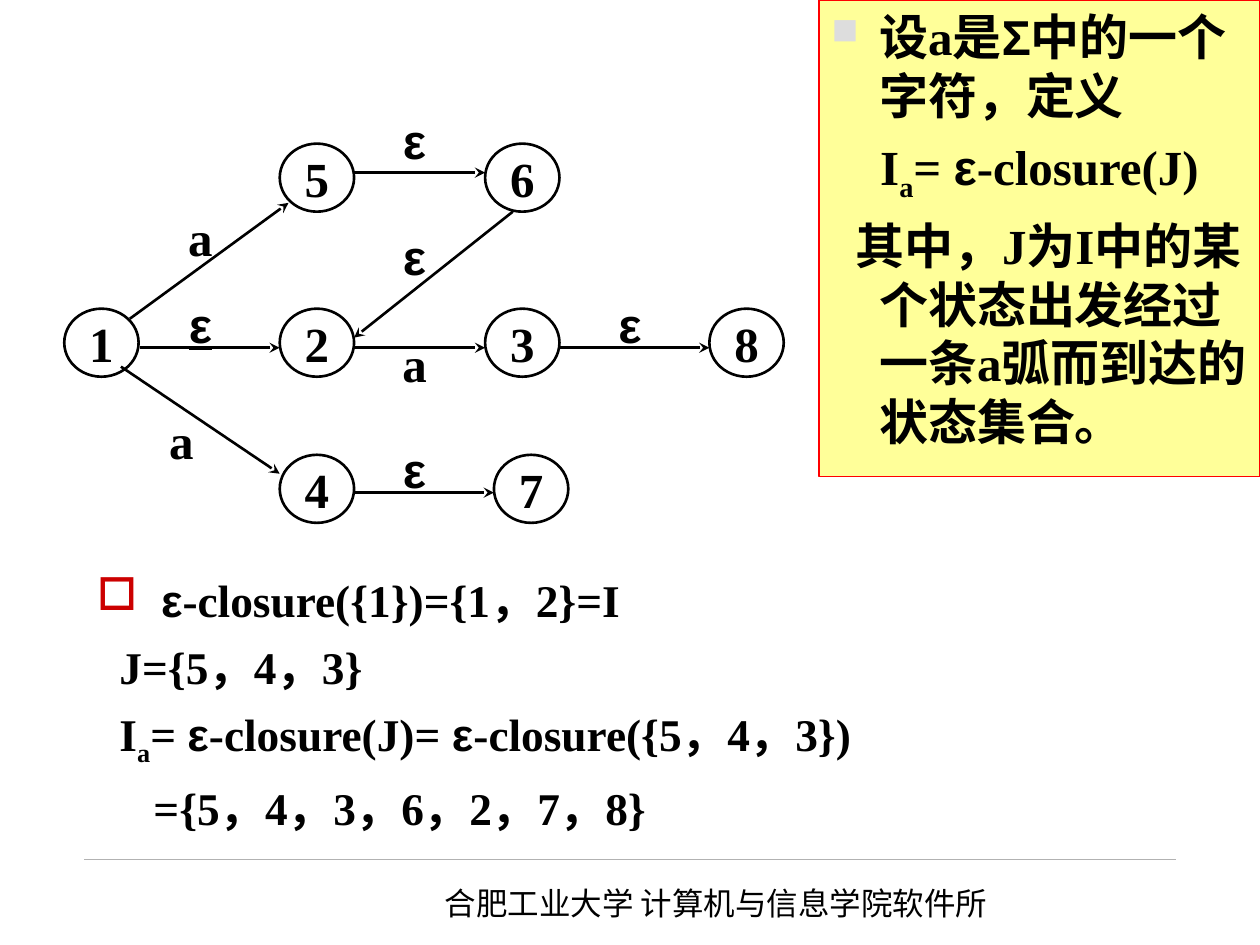
from dataclasses import dataclass
from typing import Optional

import pptx
import pptx.dml.color
import pptx.enum.shapes
import pptx.enum.text
import pptx.oxml.ns
import pptx.util
from lxml import etree
from pptx.util import Inches, Pt

SERIF, SANS = "Times New Roman", "Arial"
BLACK = "000000"
NODE_W, NODE_H = 0.59, 0.54
LABEL_W = 0.82
MIDDLE = pptx.enum.text.MSO_ANCHOR.MIDDLE
CENTER = pptx.enum.text.PP_ALIGN.CENTER


@dataclass
class State:
    name: str
    left: float
    top: float


@dataclass
class Arc:
    x1: float
    y1: float
    x2: float
    y2: float
    symbol: str
    label_left: float
    label_top: float
    underline: bool = False


@dataclass
class Run:
    text: str
    font: str = SERIF
    subscript: bool = False


@dataclass
class Line:
    runs: list[Run]
    margin: float
    indent: float
    bullet: Optional[tuple[str, str, int]] = None  # character, colour, percent
    centered: bool = False
    spacing: Optional[float] = None


def rgb(value: str) -> pptx.dml.color.RGBColor:
    return pptx.dml.color.RGBColor.from_string(value)


def add_child(parent, tag: str, **attributes: str):
    return etree.SubElement(parent, pptx.oxml.ns.qn(tag), attributes)


def style(font, size: float, name: str = SERIF, bold: bool = True) -> None:
    font.size, font.name, font.bold = Pt(size), name, bold
    font.color.rgb = rgb(BLACK)


def put_symbol(frame, text: str, font: str, underline: bool = False) -> None:
    frame.word_wrap = False
    frame.vertical_anchor = MIDDLE
    frame.text = text
    paragraph = frame.paragraphs[0]
    paragraph.alignment = CENTER
    run = paragraph.runs[0]
    style(run.font, 28, font)
    if underline:
        run.font.underline = True


def draw_line(slide, x1: float, y1: float, x2: float, y2: float,
              color: str, width: float, arrow: bool = False) -> None:
    connector = slide.shapes.add_connector(
        pptx.enum.shapes.MSO_CONNECTOR.STRAIGHT,
        Inches(x1), Inches(y1), Inches(x2), Inches(y2))
    connector.line.color.rgb = rgb(color)
    connector.line.width = Pt(width)
    if arrow:
        add_child(connector.line._get_or_add_ln(), "a:tailEnd", type="stealth")
    add_child(connector._element.spPr, "a:effectLst")


def draw_state(slide, state: State) -> None:
    circle = slide.shapes.add_shape(
        pptx.enum.shapes.MSO_SHAPE.OVAL, Inches(state.left), Inches(state.top),
        Inches(NODE_W), Inches(NODE_H))
    circle.shadow.inherit = False
    circle.fill.background()
    circle.line.color.rgb = rgb(BLACK)
    circle.line.width = Pt(1.5)
    put_symbol(circle.text_frame, state.name, SERIF)


def draw_arc(slide, arc: Arc) -> None:
    draw_line(slide, arc.x1, arc.y1, arc.x2, arc.y2, BLACK, 1.5, arrow=True)
    label = slide.shapes.add_textbox(
        Inches(arc.label_left), Inches(arc.label_top), Inches(LABEL_W), Inches(NODE_H))
    put_symbol(label.text_frame, arc.symbol, SANS if arc.symbol == "ε" else SERIF,
               arc.underline)


def write_lines(frame, lines: list[Line], size: float) -> None:
    frame.word_wrap = True
    frame.vertical_anchor = pptx.enum.text.MSO_ANCHOR.TOP
    for number, line in enumerate(lines):
        paragraph = frame.add_paragraph() if number else frame.paragraphs[0]
        properties = paragraph._p.get_or_add_pPr()
        properties.set("marL", str(Inches(line.margin)))
        properties.set("indent", str(Inches(line.indent)))
        if line.bullet:
            character, color, percent = line.bullet
            add_child(add_child(properties, "a:buClr"), "a:srgbClr", val=color)
            add_child(properties, "a:buSzPct", val=str(percent * 1000))
            add_child(properties, "a:buChar", char=character)
        else:
            add_child(properties, "a:buNone")
        paragraph.alignment = CENTER if line.centered else pptx.enum.text.PP_ALIGN.LEFT
        if number:
            paragraph.space_before = Pt(7)
        if line.spacing:
            paragraph.line_spacing = line.spacing
        for part in line.runs:
            run = paragraph.add_run()
            run.text = part.text
            style(run.font, size, part.font)
            if part.subscript:
                run.font._element.set("baseline", "-25000")


EPSILON = Run("ε", SANS)
I_A = [Run("I"), Run("a", subscript=True), Run("= "), EPSILON]

# Automaton: three rows of states
TOP_ROW, MID_ROW, LOW_ROW = 1.14, 2.45, 3.61
STATES = [
    State("1", 0.51, MID_ROW), State("2", 2.22, MID_ROW),
    State("3", 3.85, MID_ROW), State("8", 5.63, MID_ROW),
    State("5", 2.22, TOP_ROW), State("6", 3.85, TOP_ROW),
    State("4", 2.22, LOW_ROW), State("7", 3.92, LOW_ROW),
]
ARCS = [
    Arc(1.03, 2.53, 2.29, 1.61, "a", 1.18, 1.61),
    Arc(2.81, 1.37, 3.85, 1.37, "ε", 2.88, 0.84),
    Arc(4.07, 1.68, 2.81, 2.68, "ε", 2.88, 1.76),
    Arc(1.11, 2.76, 2.22, 2.76, "ε", 1.18, 2.3, underline=True),
    Arc(2.81, 2.76, 3.85, 2.76, "a", 2.88, 2.61),
    Arc(4.44, 2.76, 5.63, 2.76, "ε", 4.59, 2.3),
    Arc(0.96, 2.91, 2.22, 3.76, "a", 1.03, 3.22),
    Arc(2.81, 3.91, 3.92, 3.91, "ε", 2.88, 3.45),
]

DEFINITION = [
    Line([Run("设a是"), Run("Σ", SANS), Run("中的一个字符，定义")],
         0.38, -0.38, bullet=("■", "DDDDDD", 75)),
    Line(I_A + [Run("-closure(J)")], 0.38, -0.38, centered=True),
    Line([Run("其中，J为I中的某个状态出发经过一条a弧而到达的状态集合。")], 0.38, -0.19),
]
WORKED_EXAMPLE = [
    Line([EPSILON, Run("-closure({1})={1，2}=I")], 0.51, -0.51,
         bullet=("□", "CC0000", 100), spacing=0.9),
    Line([Run("J={5，4，3}")], 0.51, -0.33),
    Line(I_A + [Run("-closure(J)= "), EPSILON, Run("-closure({5，4，3})")], 0.51, -0.33),
    Line([Run("={5，4，3，6，2，7，8}")], 0.51, -0.06),
]


def main() -> None:
    deck = pptx.Presentation()
    deck.slide_width, deck.slide_height = Inches(10), Inches(7.5)
    slide = deck.slides.add_slide(deck.slide_layouts[6])

    # Footer
    draw_line(slide, 0.67, 6.82, 9.33, 6.82, "B2B2B2", 0.25)
    footer = slide.shapes.add_textbox(Inches(3.43), Inches(6.97), Inches(4.72), Inches(0.4))
    footer.text_frame.word_wrap = True
    footer.text_frame.text = "合肥工业大学 计算机与信息学院软件所"
    style(footer.text_frame.paragraphs[0].runs[0].font, 18, "Noto Sans CJK SC", bold=False)

    # Worked example
    example = slide.shapes.add_textbox(Inches(0.67), Inches(4.54), Inches(8.86), Inches(2.25))
    write_lines(example.text_frame, WORKED_EXAMPLE, 25.9)

    # Automaton
    for state in STATES:
        draw_state(slide, state)
    for arc in ARCS:
        draw_arc(slide, arc)

    # Definition panel
    definition = slide.shapes.add_shape(
        pptx.enum.shapes.MSO_SHAPE.RECTANGLE, Inches(6.5), Inches(0), Inches(3.5), Inches(3.78))
    definition.shadow.inherit = False
    definition.fill.solid()
    definition.fill.fore_color.rgb = rgb("FFFF99")
    definition.line.color.rgb = rgb("FF0000")
    definition.line.width = Pt(0.75)
    write_lines(definition.text_frame, DEFINITION, 28)

    deck.save("out.pptx")


if __name__ == "__main__":
    main()
